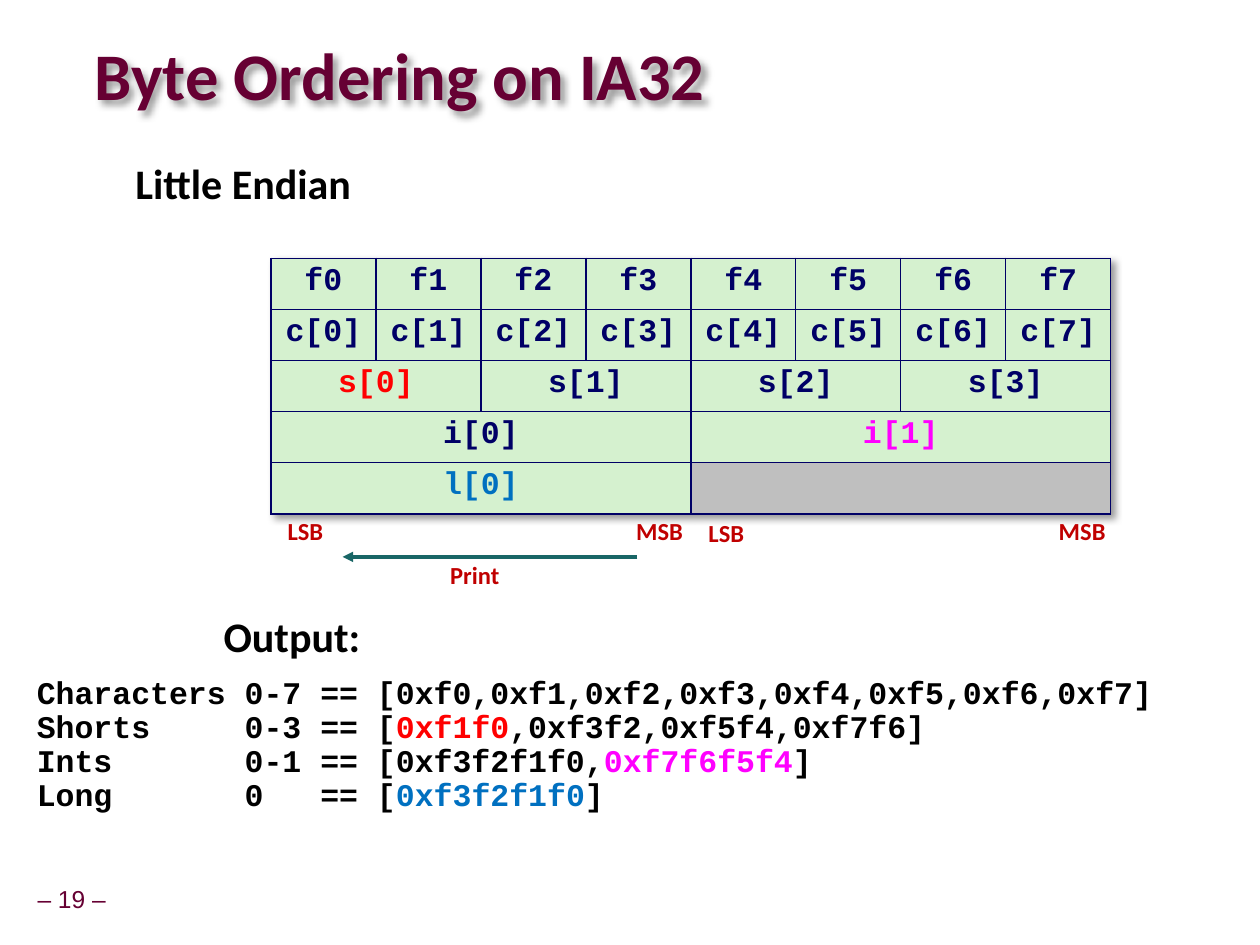
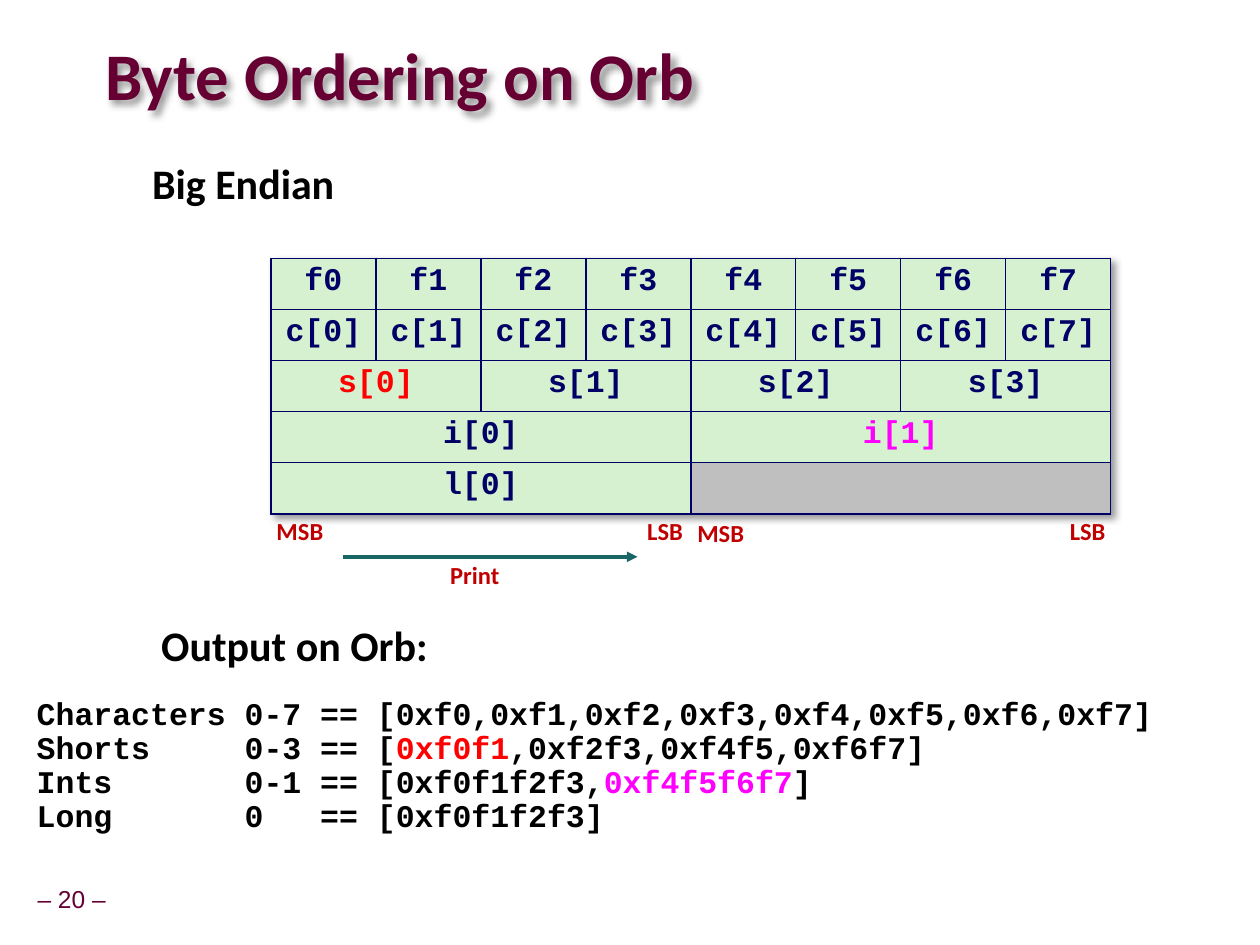
from pptx import Presentation
from pptx.dml.color import RGBColor
from pptx.enum import shapes, text
from pptx.oxml import parse_xml
from pptx.oxml.ns import nsdecls, qn
from pptx.util import Pt
from lxml import etree

WINE = RGBColor(0x66, 0x00, 0x33)
BLACK = RGBColor(0x00, 0x00, 0x00)
NAVY = RGBColor(0x00, 0x00, 0x66)
RED = RGBColor(0xFF, 0x00, 0x00)
PINK = RGBColor(0xFF, 0x00, 0xFF)
BLUE = RGBColor(0x00, 0x70, 0xC0)
BRICK = RGBColor(0xC0, 0x00, 0x00)
TEAL = RGBColor(0x19, 0x66, 0x66)
GREEN = RGBColor(0xD5, 0xF1, 0xCF)
GREY = RGBColor(0xBF, 0xBF, 0xBF)

SANS, MONO = "Calibri", "Courier New"
LEFT, MID, RIGHT = text.PP_ALIGN.LEFT, text.PP_ALIGN.CENTER, text.PP_ALIGN.RIGHT
GRID = (154.8, 147.6, 480, 146)  # left, top, width, height
COLS = 8


def style(para, size, color=None, face=SANS, bold=True, align=LEFT, space=0.9):
    para.alignment = align
    para.line_spacing = space
    font = para.font
    font.name, font.size, font.bold = face, Pt(size), bold
    if color is not None:
        font.color.rgb = color


def shadow():
    return parse_xml(
        f'<a:effectLst {nsdecls("a")}><a:outerShdw blurRad="50800" dist="38100" '
        'dir="2700000" algn="tl" rotWithShape="0"><a:srgbClr val="000000">'
        '<a:alpha val="40000"/></a:srgbClr></a:outerShdw></a:effectLst>')


def setup(frame, inset, anchor=text.MSO_ANCHOR.TOP):
    frame.word_wrap = True
    frame.auto_size = text.MSO_AUTO_SIZE.NONE
    frame.vertical_anchor = anchor
    frame.margin_left = frame.margin_right = Pt(inset)
    frame.margin_top = frame.margin_bottom = Pt(inset)


def add_box(slide, box, inset=3):
    frame = slide.shapes.add_textbox(*map(Pt, box)).text_frame
    setup(frame, inset)
    return frame


def add_line(slide, box, words, size, color, align=MID, **look):
    para = add_box(slide, box).paragraphs[0]
    para.text = words
    style(para, size, color, align=align, **look)


# Title and page number
def add_title(slide, box, words):
    title = slide.shapes.title
    title.left, title.top, title.width, title.height = map(Pt, box)
    frame = title.text_frame
    setup(frame, 0, text.MSO_ANCHOR.MIDDLE)
    frame.text = words
    style(frame.paragraphs[0], 38, WINE, space=0.87)
    title._element.spPr.append(shadow())


def add_page(slide, num):
    add_line(slide, (16, 504, 50, 22), f"– {num} –", 14, WINE,
             face="Arial", bold=False)


# Grid of bytes and the values that share them
def edge(cell):
    props = cell._tc.get_or_add_tcPr()
    for side in "LRTB":
        props.append(parse_xml(
            f'<a:ln{side} {nsdecls("a")} w="12700"><a:solidFill>'
            f'<a:srgbClr val="{NAVY}"/></a:solidFill></a:ln{side}>'))


def add_grid(slide, box, tints):
    rows = [
        [f"f{n}" for n in range(8)],
        [f"c[{n}]" for n in range(8)],
        [f"s[{n}]" for n in range(4)],
        ["i[0]", "i[1]"],
        ["l[0]", ""],
    ]
    table = slide.shapes.add_table(len(rows), COLS, *map(Pt, box)).table
    table.first_row = table.horz_banding = False
    table._tbl.tblPr.insert(0, shadow())
    for col in table.columns:
        col.width = Pt(box[2] / COLS)
    for row in table.rows:
        row.height = Pt(box[3] / len(rows))
    for r, words in enumerate(rows):
        span = COLS // len(words)
        for c in range(COLS):
            cell = table.cell(r, c)
            edge(cell)
            cell.fill.solid()
            cell.fill.fore_color.rgb = GREEN if words[c // span] else GREY
        for n, word in enumerate(words):
            cell = table.cell(r, n * span)
            if span > 1:
                cell.merge(table.cell(r, n * span + span - 1))
            para = cell.text_frame.paragraphs[0]
            para.text = word
            style(para, 18, tints.get(word, NAVY), MONO, align=MID)


# Byte ends and print arrow under the grid
def add_ends(slide, box, first, last, back):
    left, top = box[0], box[1] + box[3]
    wide = 36
    ends = [(33, 0, first), (238.5, 0, last), (273.5, 1.5, first), (480, 0, last)]
    for right, drop, word in ends:
        add_line(slide, (left + right - wide, top + drop, wide, 23),
                 word, 14, BRICK, RIGHT)
    tail, tip = (209.5, 41) if back else (41, 209.5)
    y = Pt(top + 24.6)
    line = slide.shapes.add_connector(
        shapes.MSO_CONNECTOR.STRAIGHT, Pt(left + tail), y, Pt(left + tip), y)
    line.line.color.rgb = TEAL
    line.line.width = Pt(2)
    etree.SubElement(line.line._get_or_add_ln(), qn("a:tailEnd"), type="triangle")
    etree.SubElement(line._element.spPr, qn("a:effectLst"))
    add_line(slide, (left + 96.5, top + 25.3, 40, 23), "Print", 14, BRICK)


# Printed values, as lines of (words, colour) parts
def add_code(slide, box, lines):
    frame = add_box(slide, box)
    for n, parts in enumerate(lines):
        para = frame.add_paragraph() if n else frame.paragraphs[0]
        for words, color in parts:
            run = para.add_run()
            run.text = words
            run.font.color.rgb = color
        style(para, 18, face=MONO)


def add_order(deck, num, title, x, kind, ends, tints, head, head_box, code_box, vals):
    slide = deck.slides.add_slide(deck.slide_layouts[5])
    short, shorts, whole, other, long_tint = vals
    add_page(slide, num)
    add_title(slide, (x, 0, 494, 91.4), title)
    add_line(slide, (36, 90, 206, 35), kind, 24, BLACK)
    add_code(slide, code_box, [
        [("Characters 0-7 == [0xf0,0xf1,0xf2,0xf3,0xf4,0xf5,0xf6,0xf7]", BLACK)],
        [("Shorts     0-3 == [", BLACK), (short, RED), (f",{shorts}]", BLACK)],
        [(f"Ints       0-1 == [{whole},", BLACK), (other, PINK), ("]", BLACK)],
        [("Long       0   == [", BLACK), (whole, long_tint), ("]", BLACK)],
    ])
    add_line(slide, head_box, head, 24, BLACK)
    add_grid(slide, GRID, {"s[0]": RED, "i[1]": PINK, **tints})
    add_ends(slide, GRID, *ends)


def main():
    deck = Presentation()
    deck.slide_width, deck.slide_height = Pt(720), Pt(540)
    add_order(deck, 19, "Byte Ordering on IA32", 54, "Little Endian",
              ("LSB", "MSB", True), {"l[0]": BLUE},
              "Output:", (22.3, 349.2, 289, 35), (18, 383.8, 666, 114),
              ("0xf1f0", "0xf3f2,0xf5f4,0xf7f6", "0xf3f2f1f0", "0xf7f6f5f4", BLUE))
    add_order(deck, 20, "Byte Ordering on Orb", 60, "Big Endian",
              ("MSB", "LSB", False), {},
              "Output on Orb:", (23.8, 354.2, 289, 35), (18, 396, 684, 102),
              ("0xf0f1", "0xf2f3,0xf4f5,0xf6f7", "0xf0f1f2f3", "0xf4f5f6f7", BLACK))
    deck.save("out.pptx")


if __name__ == "__main__":
    main()
